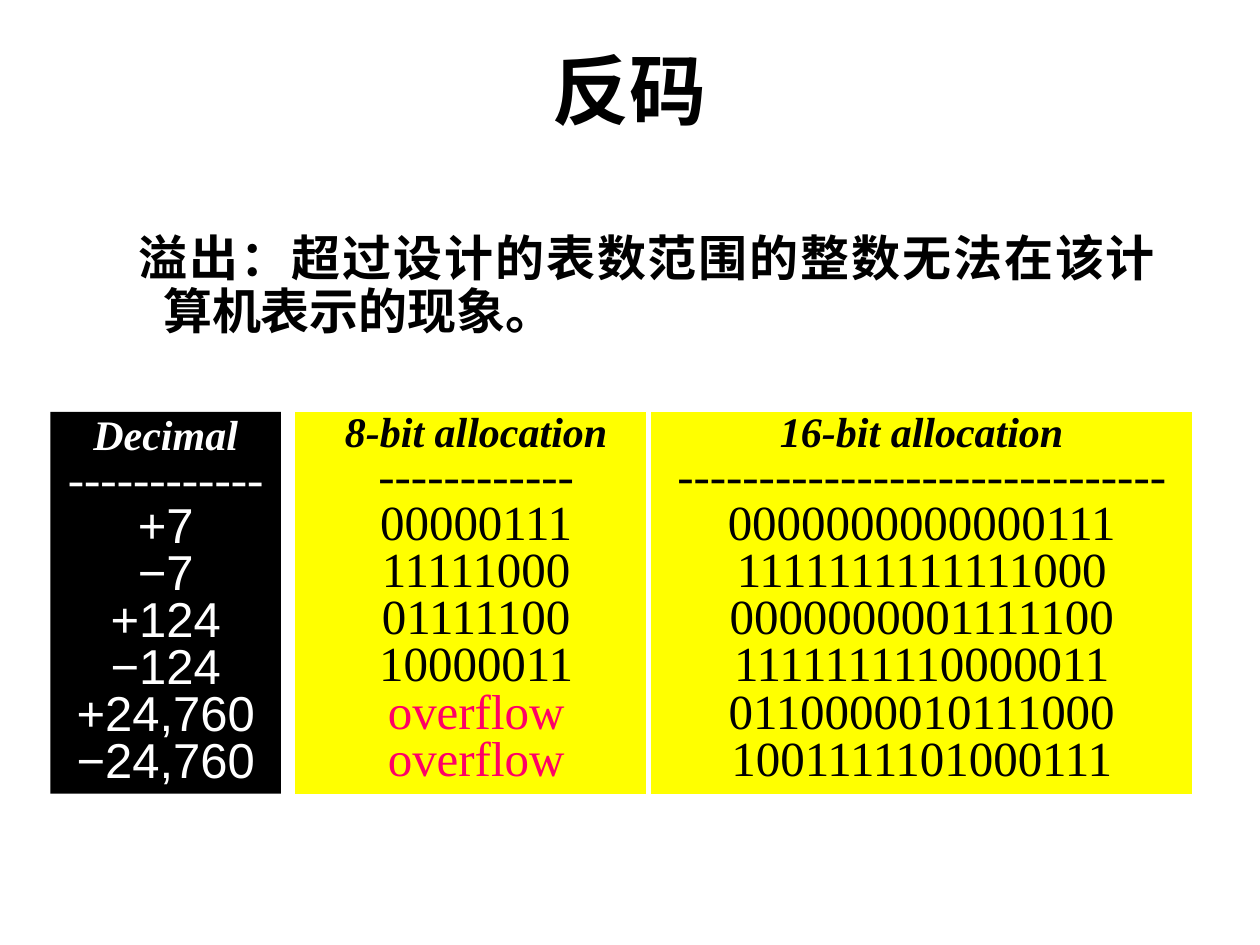
from dataclasses import dataclass

from pptx import Presentation
from pptx.dml.color import RGBColor
from pptx.enum import shapes, text
from pptx.oxml.ns import qn
from pptx.util import Pt

TITLE = "反码"
DEFINITION = "溢出：超过设计的表数范围的整数无法在该计算机表示的现象。"
OVERFLOW = "overflow"


@dataclass(frozen=True)
class Theme:
    black: str = "000000"
    white: str = "FFFFFF"
    yellow: str = "FFFF00"
    pink: str = "FF0066"
    chinese: str = "Noto Sans CJK SC"
    serif: str = "Times New Roman"
    sans: str = "Arial"
    title_size: int = 44
    body_size: int = 28
    heading_size: int = 24


THEME = Theme()

COLUMNS = [
    {
        "heading": "Decimal", "dashes": 12,
        "values": ["+7", "−7", "+124", "−124", "+24,760", "−24,760"],
        "at": (28.8, 235.4, 131.8, 218.2),
        "fill": THEME.black, "ink": THEME.white, "font": THEME.sans, "border": None,
    },
    {
        "heading": "8-bit allocation", "dashes": 12,
        "values": ["00000111", "11111000", "01111100", "10000011", OVERFLOW, OVERFLOW],
        "at": (167, 234, 210.2, 221),
        "fill": THEME.yellow, "ink": THEME.black, "font": THEME.serif, "border": THEME.white,
    },
    {
        "heading": "16-bit allocation", "dashes": 30,
        "values": ["0000000000000111", "1111111111111000", "0000000001111100",
                   "1111111110000011", "0110000010111000", "1001111101000111"],
        "at": (370.8, 234, 311.8, 221),
        "fill": THEME.yellow, "ink": THEME.black, "font": THEME.serif, "border": THEME.white,
    },
]


def place(shape, at):
    shape.left, shape.top, shape.width, shape.height = (Pt(length) for length in at)


def style(span, font, size, color, bold=False, italic=False):
    span.font.size = Pt(size)
    span.font.bold = bold
    span.font.italic = italic
    span.font.color.rgb = RGBColor.from_string(color)
    span.font.name = font
    east_asian = span.font._element.makeelement(qn("a:ea"), {"typeface": font})
    span.font._element.find(qn("a:latin")).addnext(east_asian)


def add_title(page):
    title = page.shapes.title
    place(title, (54, 23.8, 612, 54))
    title.text_frame.text = TITLE
    title.text_frame.auto_size = text.MSO_AUTO_SIZE.NONE
    para = title.text_frame.paragraphs[0]
    para.alignment = text.PP_ALIGN.CENTER
    style(para.runs[0], THEME.chinese, THEME.title_size, THEME.black, bold=True)


def add_definition(page):
    body = page.placeholders[1]
    place(body, (41, 130.3, 626.4, 67.7))
    body.text_frame.text = DEFINITION
    body.text_frame.auto_size = text.MSO_AUTO_SIZE.NONE
    para = body.text_frame.paragraphs[0]
    para.alignment = text.PP_ALIGN.JUSTIFY
    para.line_spacing = 0.9
    para.space_before = Pt(0)
    properties = para._p.get_or_add_pPr()
    properties.set("marL", str(Pt(45)))
    properties.set("indent", str(Pt(-14)))
    properties.append(properties.makeelement(qn("a:buNone"), {}))
    style(para.runs[0], THEME.chinese, THEME.body_size, THEME.black, bold=True)


def add_column(page, column):
    box = page.shapes.add_shape(shapes.MSO_SHAPE.RECTANGLE, 0, 0, 0, 0)
    place(box, column["at"])
    box.shadow.inherit = False
    box.fill.solid()
    box.fill.fore_color.rgb = RGBColor.from_string(column["fill"])
    if column["border"]:
        box.line.color.rgb = RGBColor.from_string(column["border"])
        box.line.width = Pt(3)
    else:
        box.line.fill.background()

    frame = box.text_frame
    frame.word_wrap = True
    frame.vertical_anchor = text.MSO_ANCHOR.TOP
    frame.text = "\n".join([column["heading"], "-" * column["dashes"], *column["values"]])
    for row, para in enumerate(frame.paragraphs):
        para.alignment = text.PP_ALIGN.CENTER
        para.line_spacing = 0.8
        span = para.runs[0]
        if row == 0:
            style(span, THEME.serif, THEME.heading_size, column["ink"], bold=True, italic=True)
        else:
            font = THEME.serif if row == 1 else column["font"]
            color = THEME.pink if span.text == OVERFLOW else column["ink"]
            style(span, font, THEME.body_size, color)


def main():
    deck = Presentation()
    deck.slide_width, deck.slide_height = Pt(720), Pt(540)
    page = deck.slides.add_slide(deck.slide_layouts[1])
    add_title(page)
    add_definition(page)
    for column in COLUMNS:
        add_column(page, column)
    deck.save("out.pptx")


if __name__ == "__main__":
    main()
